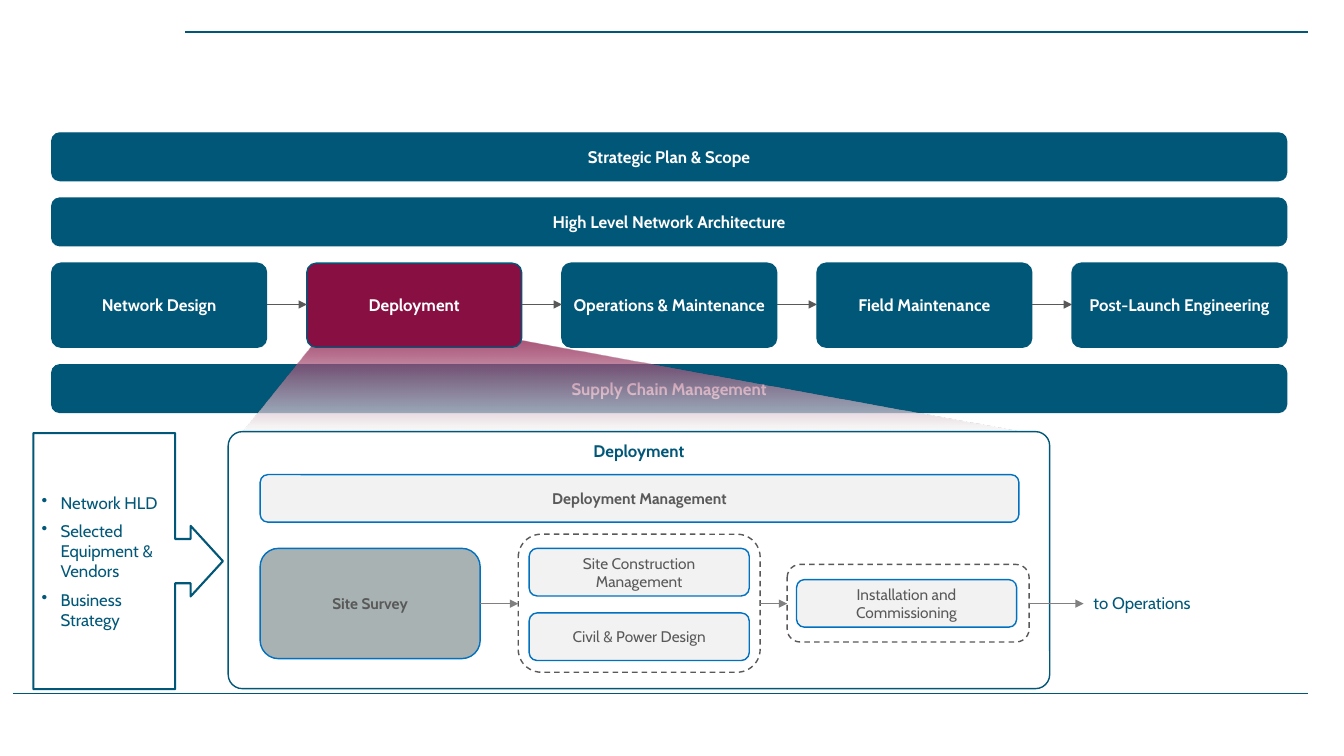
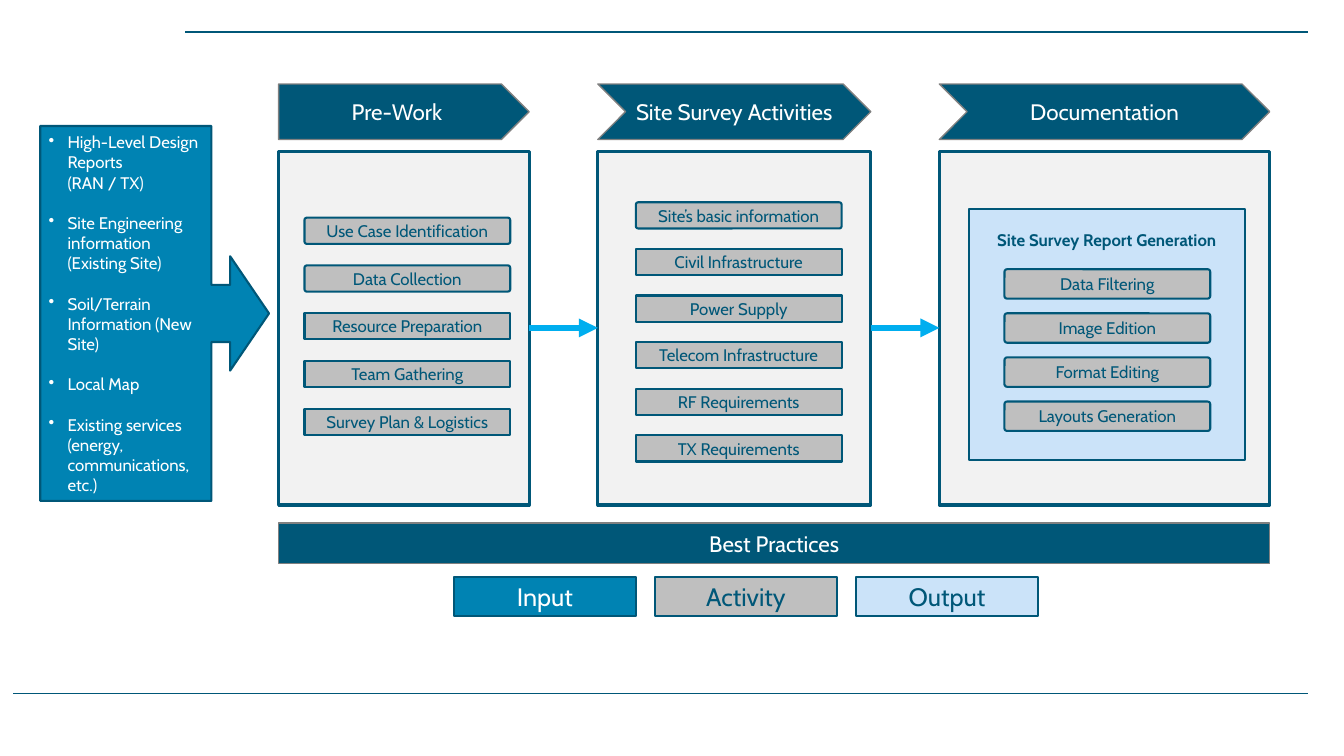
from lxml import etree
from pptx import Presentation
from pptx.dml.color import RGBColor
from pptx.enum.dml import MSO_LINE
from pptx.enum.shapes import MSO_CONNECTOR, MSO_SHAPE
from pptx.enum.text import MSO_ANCHOR, PP_ALIGN
from pptx.oxml.ns import qn
from pptx.util import Pt

RECTANGLE = MSO_SHAPE.RECTANGLE
ROUNDED = MSO_SHAPE.ROUNDED_RECTANGLE
CALLOUT = MSO_SHAPE.RIGHT_ARROW_CALLOUT
PENTAGON = MSO_SHAPE.PENTAGON
CHEVRON = MSO_SHAPE.CHEVRON
STRAIGHT = MSO_CONNECTOR.STRAIGHT
DASH = MSO_LINE.DASH
TOP = MSO_ANCHOR.TOP
MIDDLE = MSO_ANCHOR.MIDDLE
CENTER = PP_ALIGN.CENTER
LEFT = PP_ALIGN.LEFT

FONT = "Cabin"
TEAL = "005778"
WINE = "870F42"
WHITE = "FFFFFF"
PALE = "F2F2F2"
BLUE = "0070C0"
DARK_GRAY = "595959"
GRAY = "808080"
INPUT_BLUE = "0083B3"
ACTIVITY_GRAY = "BFBFBF"
OUTPUT_BLUE = "CBE3F9"
FLOW_BLUE = "00AEEF"

color = RGBColor.from_string


def add_box(slide, kind, place, fill, outline, weight=1, text="", size=12,
            ink=TEAL, bold=False, adjustments=(), bullet_gap=None):
    shape = slide.shapes.add_shape(kind, *[Pt(value) for value in place])
    shape.shadow.inherit = False
    for index, value in enumerate(adjustments):
        shape.adjustments[index] = value
    if fill:
        shape.fill.solid()
        shape.fill.fore_color.rgb = color(fill)
    else:
        shape.fill.background()
    shape.line.color.rgb = color(outline)
    shape.line.width = Pt(weight)
    frame = shape.text_frame
    frame.word_wrap = True
    frame.vertical_anchor = MIDDLE
    frame.margin_left = frame.margin_right = Pt(6)
    frame.text = text
    for index, paragraph in enumerate(frame.paragraphs):
        paragraph.alignment = CENTER
        if bullet_gap is not None:
            paragraph.alignment = LEFT
            if index:
                paragraph.space_before = Pt(bullet_gap)
            properties = paragraph._p.get_or_add_pPr()
            properties.set("marL", str(Pt(13.5)))
            properties.set("indent", str(Pt(-13.5)))
            etree.SubElement(properties, qn("a:buChar"), char="•")
        for line_break in paragraph._p.findall(qn("a:br")):
            etree.SubElement(line_break, qn("a:rPr"), sz=str(size * 100))
        for run in paragraph.runs:
            run.font.name = FONT
            run.font.size = Pt(size)
            run.font.bold = bold
            run.font.color.rgb = color(ink)
    return shape


def add_line(slide, start, end, y, ink, weight, arrow=True):
    connector = slide.shapes.add_connector(STRAIGHT, Pt(start), Pt(y), Pt(end), Pt(y))
    connector.line.color.rgb = color(ink)
    connector.line.width = Pt(weight)
    if arrow:
        etree.SubElement(connector.line._get_or_add_ln(), qn("a:tailEnd"), type="triangle")
    etree.SubElement(connector._element.spPr, qn("a:effectLst"))


presentation = Presentation()
presentation.slide_width = Pt(960)
presentation.slide_height = Pt(540)
blank = presentation.slide_layouts[6]
process = presentation.slides.add_slide(blank)
survey = presentation.slides.add_slide(blank)
for slide in (process, survey):
    add_line(slide, 132.5, 934, 23, TEAL, 1, arrow=False)
    add_line(slide, 9.4, 934, 495.2, TEAL, 1, arrow=False)

bands = [
    ("Strategic Plan & Scope", 95),
    ("High Level Network Architecture", 141.5),
    ("Supply Chain Management", 260.6),
]
for label, top in bands:
    add_box(process, ROUNDED, (37, top, 882, 34), TEAL, TEAL,
            text=label, ink=WHITE, bold=True)

builder = process.shapes.build_freeform(Pt(226.8), Pt(242.6))
builder.add_line_segments(
    [(Pt(x), Pt(y)) for x, y in [(174.2, 307.4), (742.5, 310.3), (368.6, 242.6)]])
cone = builder.convert_to_shape()
cone.shadow.inherit = False
cone.fill.gradient()
cone.fill.gradient_angle = 270
cone_stops = [(0, WINE, 71), (0.92, PALE, 68)]
for stop, (position, tint, opacity) in zip(cone.fill.gradient_stops, cone_stops):
    stop.position = position
    stop.color.rgb = color(tint)
    tint_element = stop._gs.find(qn("a:srgbClr"))
    etree.SubElement(tint_element, qn("a:alpha"), val=str(opacity * 1000))
cone.line.fill.background()

stages = ["Network Design", "Deployment", "Operations & Maintenance",
          "Field Maintenance", "Post-Launch Engineering"]
stage_width, stage_step = 153.4, 182.2
for index, label in enumerate(stages):
    left = 37 + index * stage_step
    fill = WINE if label == "Deployment" else TEAL
    add_box(process, ROUNDED, (left, 188, stage_width, 60), fill, TEAL,
            text=label, ink=WHITE, bold=True, adjustments=[0.11])
    if index:
        add_line(process, left - stage_step + stage_width, left, 217.5, DARK_GRAY, 0.5)

panel = add_box(process, ROUNDED, (163, 308.3, 586.8, 183.6), WHITE, TEAL,
                text="Deployment", bold=True, adjustments=[0.055])
panel.text_frame.vertical_anchor = TOP

tasks = [
    ("Deployment Management", (185.8, 339, 542, 34), PALE, True),
    ("Site Survey", (185.8, 391.7, 157.2, 78.8), "A8B2B2", True),
    ("Site Construction Management", (378, 391.7, 157.2, 34), PALE, False),
    ("Civil & Power Design", (378, 437.8, 157.2, 34), PALE, False),
    ("Installation and Commissioning", (569, 414, 157.2, 34), PALE, False),
]
for label, place, fill, bold in tasks:
    add_box(process, ROUNDED, place, fill, BLUE,
            text=label, size=11, ink=DARK_GRAY, bold=bold)

for place in [(370.2, 381.6, 172.8, 98.6), (562.3, 403.2, 172.8, 55.4)]:
    group = add_box(process, ROUNDED, place, None, DARK_GRAY)
    group.line.dash_style = DASH

for start, end in [(343, 370.2), (543, 562.3), (735.1, 774)]:
    add_line(process, start, end, 431.2, GRAY, 0.5)

destination = process.shapes.add_textbox(Pt(774), Pt(419.8), Pt(88), Pt(21.6))
destination.text_frame.word_wrap = False
destination.text_frame.text = "to Operations"
destination_font = destination.text_frame.paragraphs[0].runs[0].font
destination_font.name = FONT
destination_font.size = Pt(12)
destination_font.color.rgb = color(TEAL)

deployment_inputs = ["Network HLD", "Selected Equipment & Vendors", "Business Strategy"]
add_box(process, CALLOUT, (23.8, 309.4, 135.4, 182.9), None, TEAL, 1.5,
        text="\n".join(deployment_inputs),
        adjustments=[0.234, 0.186, 0.17, 0.748], bullet_gap=6)

columns = [
    ("Pre-Work", PENTAGON, 199, 179),
    ("Site Survey Activities", CHEVRON, 427, 195),
    ("Documentation", CHEVRON, 671, 236),
]
for label, kind, left, width in columns:
    add_box(survey, kind, (left, 60, width, 39.6), TEAL, GRAY,
            text=label, size=16, ink=WHITE)
    add_box(survey, RECTANGLE, (left, 108, width, 252.7), PALE, TEAL, 2.25)
for before, after in zip(columns, columns[1:]):
    add_line(survey, before[2] + before[3], after[2], 234.2, FLOW_BLUE, 4.5)

report = add_box(survey, RECTANGLE, (692, 149, 197.3, 179.3), OUTPUT_BLUE, TEAL, 1.5,
                 text="Site Survey Report Generation", bold=True)
report.text_frame.vertical_anchor = TOP
report.text_frame.margin_top = Pt(15)

activity_lists = [
    (217.5, 155.5, 34.1, 18.7, 2,
     ["Use Case Identification", "Data Collection", "Resource Preparation",
      "Team Gathering", "Survey Plan & Logistics"]),
    (454.2, 144.5, 33.3, 18.7, 1,
     ["Site’s basic information", "Civil Infrastructure", "Power Supply",
      "Telecom Infrastructure", "RF Requirements", "TX Requirements"]),
    (717.5, 192.3, 31.5, 21, 4,
     ["Data Filtering", "Image Edition", "Format Editing", "Layouts Generation"]),
]
for left, top, step, height, rounded_count, labels in activity_lists:
    for index, label in enumerate(labels):
        rounded = index < rounded_count
        add_box(survey, ROUNDED if rounded else RECTANGLE,
                (left, top + index * step, 147, height), ACTIVITY_GRAY, TEAL, 1.5,
                text=label, adjustments=[0.09] if rounded else [])

survey_inputs = [
    "High-Level Design Reports\v(RAN / TX)",
    "Site Engineering information (Existing Site)",
    "Soil/Terrain Information (New Site)",
    "Local Map",
    "Existing services (energy, communications, etc.)",
]
add_box(survey, CALLOUT, (28.8, 90, 163.4, 267.8), INPUT_BLUE, TEAL, 1.5,
        text="\n".join(survey_inputs), ink=WHITE,
        adjustments=[0.25, 0.25, 0.17, 0.748], bullet_gap=14.4)

add_box(survey, RECTANGLE, (199, 373.7, 708, 28.8), TEAL, GRAY,
        text="Best Practices", size=16, ink=WHITE)

legend = [("Input", INPUT_BLUE, WHITE), ("Activity", ACTIVITY_GRAY, TEAL),
          ("Output", OUTPUT_BLUE, TEAL)]
for index, (label, fill, ink) in enumerate(legend):
    add_box(survey, RECTANGLE, (324 + index * 143.6, 412, 130.5, 28), fill, TEAL, 1.5,
            text=label, size=18, ink=ink)

presentation.save("out.pptx")
